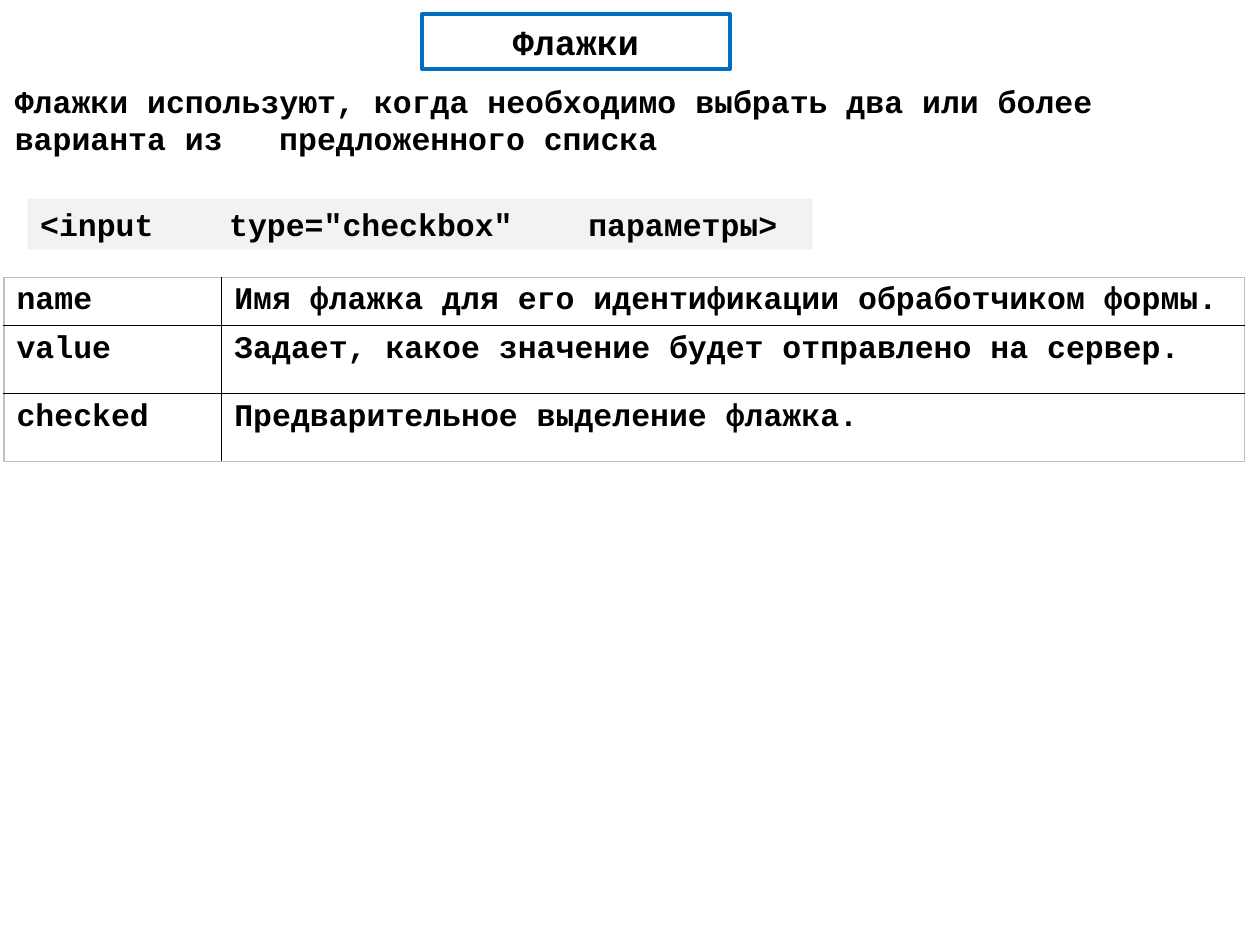
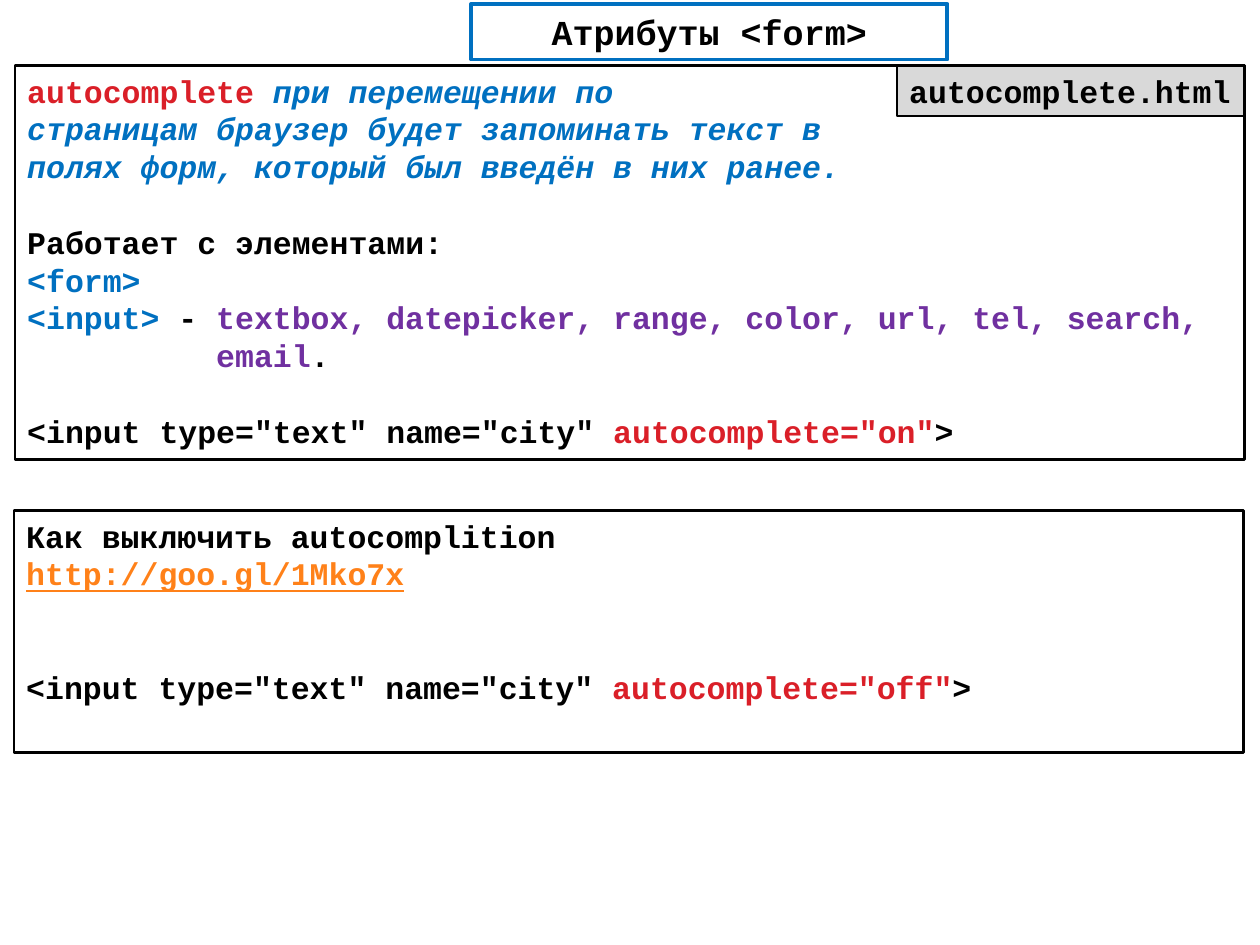
from lxml import etree
from pptx import Presentation
from pptx.dml.color import RGBColor
from pptx.enum.shapes import MSO_SHAPE
from pptx.enum.text import MSO_ANCHOR, MSO_AUTO_SIZE, PP_ALIGN
from pptx.oxml.ns import qn
from pptx.util import Cm, Pt

RECT = MSO_SHAPE.RECTANGLE
TOP, MIDDLE = MSO_ANCHOR.TOP, MSO_ANCHOR.MIDDLE
LEFT, CENTER = PP_ALIGN.LEFT, PP_ALIGN.CENTER
NO_FIT = MSO_AUTO_SIZE.NONE

FONT = "Courier New"
BLACK, WHITE, BLUE, RED = "000000", "FFFFFF", "0070C0", "DA1F28"
PURPLE, ORANGE = "7030A0", "FF8119"
PALE, GREY, EDGE = "F2F2F2", "D9D9D9", "BFBFBF"
LINE_STEP = 0.76  # cm, height of one text line
TITLE_ONLY = 5

# A paragraph is (runs, layout); a run is (text, format).
NOTE = {"color": BLUE, "italic": True}


def input_example(state, lines_before):
    return ([('<input type="text" name="city" ', {}),
             (f'autocomplete="{state}"', {"color": RED}), (">", {})],
            {"lines_before": lines_before})


CHECKBOX_INTRO = [
    ([("Флажки используют, когда необходимо выбрать два или более", {})], {}),
    ([("варианта из\tпредложенного списка", {})], {"tabs": [5.33]}),
]
CHECKBOX_TAG = [
    ([('<input\ttype="checkbox"\tпараметры>', {})], {"tabs": [3.81, 11.05]}),
]
CHECKBOX_ATTRIBUTES = [
    ("name", "Имя флажка для его идентификации обработчиком формы."),
    ("value", "Задает, какое значение будет отправлено на сервер."),
    ("checked", "Предварительное выделение флажка."),
]
AUTOCOMPLETE_ON = [
    ([("autocomplete ", {"color": RED}), ("при перемещении по", NOTE)], {}),
    ([("страницам браузер будет запоминать текст в", NOTE)], {}),
    ([("полях форм, который был введён в них ранее.", NOTE)], {}),
    ([("Работает с элементами:", {})], {"lines_before": 1}),
    ([("<form>", {"color": BLUE})], {}),
    ([("<input> ", {"color": BLUE}), ("- ", {}),
      ("textbox, datepicker, range, color, url, tel, search, email",
       {"color": PURPLE}), (".", {})], {"hanging": 3.81}),
    input_example("on", 1),
]
AUTOCOMPLETE_OFF = [
    ([("Как выключить autocomplition", {})], {}),
    ([("http://goo.gl/1Mko7x", {"color": ORANGE, "underline": True})], {}),
    input_example("off", 2),
]
FILE_NAME = [([("autocomplete.html", {})], {})]


def rgb(hex_color):
    return RGBColor.from_string(hex_color)


def add_run(p, text, color=BLACK, **formats):
    r = p.add_run()
    r.text = text
    for name, value in {"name": FONT, "size": Pt(18), "bold": True,
                        **formats}.items():
        setattr(r.font, name, value)
    r.font.color.rgb = rgb(color)


def lay_out(p, lines_before=0, tabs=(), hanging=0):
    """Set the gap above, the tab stops and the hanging indent, in cm."""
    p.alignment = LEFT
    if lines_before:
        p.space_before = Cm(LINE_STEP * lines_before)
    pPr = p._p.get_or_add_pPr()
    if hanging:
        pPr.set("marL", str(Cm(hanging)))
        pPr.set("indent", str(-Cm(hanging)))
    if tabs:
        tab_list = etree.SubElement(pPr, qn("a:tabLst"))
        for position in tabs:
            etree.SubElement(tab_list, qn("a:tab"),
                             pos=str(Cm(position)), algn="l")


def write(tf, paragraphs, wrap=True):
    tf.word_wrap = wrap
    tf.vertical_anchor = TOP
    for i, (runs, layout) in enumerate(paragraphs):
        p = tf.add_paragraph() if i else tf.paragraphs[0]
        lay_out(p, **layout)
        for text, formats in runs:
            add_run(p, text, **formats)


def add_box(s, place, paragraphs, fill=None, line=None, wrap=True):
    sp = s.shapes.add_shape(RECT, *map(Cm, place))
    sp.shadow.inherit = False
    if fill:
        sp.fill.solid()
        sp.fill.fore_color.rgb = rgb(fill)
    else:
        sp.fill.background()
    if line:
        sp.line.color.rgb = rgb(line)
        sp.line.width = Pt(1.5)
    else:
        sp.line.fill.background()
    write(sp.text_frame, paragraphs, wrap)


def add_titled_slide(prs, title, place):
    s = prs.slides.add_slide(prs.slide_layouts[TITLE_ONLY])
    sp = s.shapes.title
    sp.left, sp.top, sp.width, sp.height = map(Cm, place)
    sp.fill.solid()
    sp.fill.fore_color.rgb = rgb(WHITE)
    sp.line.color.rgb = rgb(BLUE)
    sp.line.width = Pt(2.25)
    tf = sp.text_frame
    tf.auto_size = NO_FIT
    tf.vertical_anchor = MIDDLE
    p = tf.paragraphs[0]
    p.alignment = CENTER
    add_run(p, title, size=Pt(20))
    return s


def set_borders(cell, inner_sides):
    """Draw black lines between cells and grey ones on the table's edge."""
    tcPr = cell._tc.get_or_add_tcPr()
    for i, side in enumerate(("lnL", "lnR", "lnT", "lnB")):
        color = BLACK if side in inner_sides else EDGE
        ln = etree.Element(qn(f"a:{side}"), w=str(Pt(1)))
        fill = etree.SubElement(ln, qn("a:solidFill"))
        etree.SubElement(fill, qn("a:srgbClr"), val=color)
        tcPr.insert(i, ln)


def add_attribute_table(s, left, top, widths, heights, rows):
    table = s.shapes.add_table(len(rows), len(widths), Cm(left), Cm(top),
                               Cm(sum(widths)), Cm(sum(heights))).table
    table.first_row = table.horz_banding = False
    for column, width in zip(table.columns, widths):
        column.width = Cm(width)
    for y, (row, height) in enumerate(zip(rows, heights)):
        table.rows[y].height = Cm(height)
        for x, text in enumerate(row):
            cell = table.cell(y, x)
            cell.fill.background()
            write(cell.text_frame, [([(text, {})], {})])
            inner = {"lnL": x > 0, "lnR": x < len(row) - 1,
                     "lnT": y > 0, "lnB": y < len(rows) - 1}
            set_borders(cell, [side for side in inner if inner[side]])


def build_checkbox_slide(prs):
    s = add_titled_slide(prs, "Флажки", (8.51, 0.28, 6.2, 1.12))
    add_box(s, (0.56, 4.01, 15.82, 1.02), CHECKBOX_TAG, fill=PALE, wrap=False)
    add_attribute_table(s, 0.08, 5.59, (4.39, 20.62), (0.97, 1.37, 1.37),
                        CHECKBOX_ATTRIBUTES)
    intro = s.shapes.add_textbox(Cm(0.05), Cm(1.52), Cm(25.04), Cm(1.8))
    write(intro.text_frame, CHECKBOX_INTRO)


def build_form_slide(prs):
    s = add_titled_slide(prs, "Атрибуты <form>", (9.5, 0.08, 9.6, 1.12))
    add_box(s, (0.3, 1.32, 24.79, 7.95), AUTOCOMPLETE_ON, line=BLACK)
    add_box(s, (0.28, 10.29, 24.79, 4.88), AUTOCOMPLETE_OFF, line=BLACK)
    add_box(s, (18.08, 1.32, 7.01, 1.02), FILE_NAME, fill=GREY, line=BLACK,
            wrap=False)


def main():
    prs = Presentation()
    prs.slide_width, prs.slide_height = Cm(25.4), Cm(19.05)
    build_checkbox_slide(prs)
    build_form_slide(prs)
    prs.save("out.pptx")


if __name__ == "__main__":
    main()
